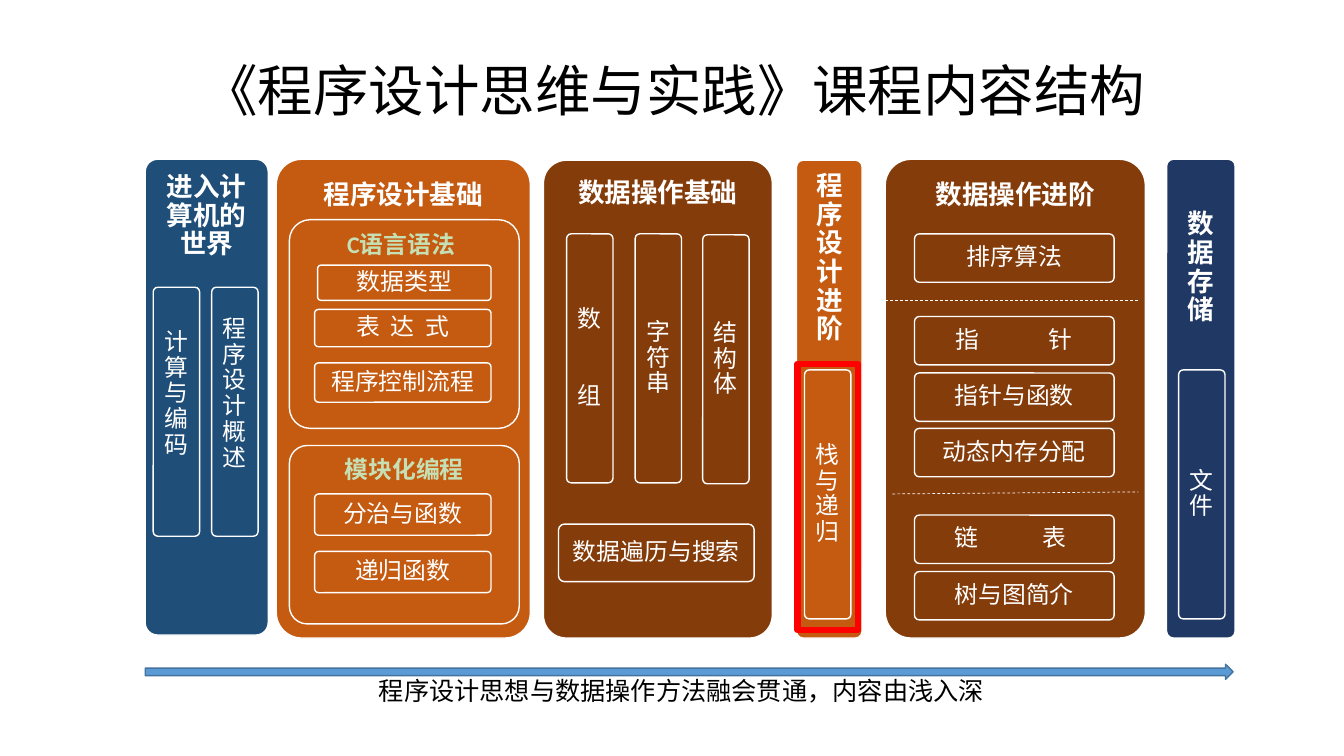
from dataclasses import dataclass

from lxml.etree import SubElement
from pptx import Presentation
from pptx.dml.color import RGBColor as Rgb
from pptx.enum.dml import MSO_LINE_DASH_STYLE as Dash
from pptx.enum.shapes import MSO_CONNECTOR as Connector, MSO_SHAPE as Shape
from pptx.enum.text import MSO_ANCHOR as Anchor, PP_ALIGN as Align
from pptx.oxml.ns import qn
from pptx.util import Inches, Pt


@dataclass(frozen=True)
class Theme:
    """Colours, font and type sizes of the slide."""
    font: str = "Calibri"
    title: float = 39.6
    heading: float = 19
    caption: float = 18
    body: float = 17
    white: Rgb = Rgb(0xFF, 0xFF, 0xFF)
    black: Rgb = Rgb(0, 0, 0)
    green: Rgb = Rgb(0xC5, 0xE0, 0xB4)
    blue: Rgb = Rgb(0x1F, 0x4E, 0x79)
    navy: Rgb = Rgb(0x20, 0x38, 0x64)
    orange: Rgb = Rgb(0xC5, 0x5A, 0x11)
    brown: Rgb = Rgb(0x84, 0x3C, 0x0B)
    arrow: Rgb = Rgb(0x5B, 0x9B, 0xD5)
    arrow_line: Rgb = Rgb(0x43, 0x73, 0x9E)
    red: Rgb = Rgb(0xFF, 0, 0)


T = Theme()
CORNER = 0.1
CORNER_INSET = 0.0293


@dataclass(frozen=True)
class Panel:
    """A coloured panel with a bold heading at its top."""
    text: str
    fill: Rgb
    x: float
    y: float
    w: float
    h: float
    text_top: float
    size: float = T.heading
    color: Rgb = T.white
    shift: float = 0


@dataclass(frozen=True)
class Topic:
    """An outlined topic with centred text."""
    text: str
    fill: Rgb
    x: float
    y: float
    w: float
    h: float
    spread: float = 0
    line_gap: float = 0
    lift: float = 0
    shift: float = 0


@dataclass(frozen=True)
class Label:
    """A line of plain text."""
    text: str
    x: float
    y: float
    w: float
    h: float
    size: float
    anchor: Anchor
    spacing: float


def bar(text: str, fill: Rgb, x: float, y: float, **extra: float) -> Topic:
    """Return a tall narrow topic."""
    return Topic(text, fill, x, y, 0.46, 2.47, **extra)


def pointer_row(text: str, y: float, **extra: float) -> Topic:
    """Return a topic of the advanced data column."""
    return Topic(text, T.brown, 9.07, y, 1.98, 0.48, **extra)


PANELS = [
    Panel("进入计算机的世界", T.blue, 1.44, 1.58, 1.22, 4.72, 1.72),
    Panel("程序设计基础", T.orange, 2.74, 1.58, 2.52, 4.75, 1.8),
    Panel("C语言语法", T.orange, 2.87, 2.18, 2.28, 2.07, 2.31, T.body, T.green, 0.03),
    Panel("模块化编程", T.orange, 2.87, 4.42, 2.28, 1.77, 4.54, T.body, T.green),
    Panel("数据操作基础", T.brown, 5.39, 1.59, 2.27, 4.74, 1.78),
    Panel("程序设计进阶", T.orange, 7.9, 1.59, 0.65, 4.74, 1.71),
    Panel("数据操作进阶", T.brown, 8.78, 1.58, 2.58, 4.75, 1.8),
    Panel("数据存储", T.navy, 11.57, 1.58, 0.68, 4.75, 2.09),
]
TOPICS = [
    bar("计算与编码", T.blue, 1.52, 2.85, lift=0.35),
    bar("程序设计概述", T.blue, 2.1, 2.85, lift=0.35),
    Topic("数据类型", T.orange, 3.15, 2.63, 1.72, 0.35),
    Topic("表达式", T.orange, 3.12, 3.07, 1.75, 0.37, spread=7.6),
    Topic("程序控制流程", T.orange, 3.12, 3.6, 1.75, 0.39),
    Topic("分治与函数", T.orange, 3.12, 4.9, 1.75, 0.41),
    Topic("递归函数", T.orange, 3.12, 5.47, 1.75, 0.41),
    bar("数\n组", T.brown, 5.62, 2.32, line_gap=37),
    bar("字符串", T.brown, 6.3, 2.32),
    bar("结构体", T.brown, 6.97, 2.33),
    Topic("数据遍历与搜索", T.brown, 5.54, 5.2, 1.94, 0.57),
    bar("栈与递归", T.orange, 7.98, 3.67),
    pointer_row("排序算法", 2.32),
    pointer_row("指针", 3.14, spread=49.5),
    pointer_row("指针与函数", 3.7),
    pointer_row("动态内存分配", 4.25),
    pointer_row("链表", 5.11, spread=46, shift=0.04),
    pointer_row("树与图简介", 5.67),
    bar("文件", T.navy, 11.69, 3.67),
]
DIVIDERS = [(8.78, 2.98, 11.29, 2.98), (8.85, 4.9, 11.29, 4.88)]
LABELS = [
    Label("程序设计思想与数据操作方法融会贯通，内容由浅入深",
          3.66, 6.65, 7.73, 0.4, T.caption, Anchor.TOP, 1),
    Label("《程序设计思维与实践》课程内容结构",
          1.91, 0.3, 9.75, 1.25, T.title, Anchor.MIDDLE, 0.9),
]


def add_run(p, text: str, size: float, color: Rgb, bold: bool = False, spread: float = 0) -> None:
    """Add one run, with optional letter spacing in points."""
    r = p.add_run()
    r.text = text
    r.font.name, r.font.size, r.font.bold = T.font, Pt(size), bold
    r.font.color.rgb = color
    if spread:
        r._r.get_or_add_rPr().set("spc", str(round(spread * 100)))


def add_preset(s, kind: Shape, x: float, y: float, w: float, h: float,
               fill: Rgb | None, line: Rgb, width: float = 1):
    """Add a flat preset shape."""
    sp = s.shapes.add_shape(kind, Inches(x), Inches(y), Inches(w), Inches(h))
    sp.shadow.inherit = False
    if fill is None:
        sp.fill.background()
    else:
        sp.fill.solid()
        sp.fill.fore_color.rgb = fill
    sp.line.color.rgb, sp.line.width = line, Pt(width)
    return sp


def add_block(s, b: Panel | Topic, margin: float, anchor: Anchor):
    """Add a rounded block and return its text frame."""
    sp = add_preset(s, Shape.ROUNDED_RECTANGLE, b.x, b.y, b.w, b.h, b.fill, T.white)
    sp.adjustments[0] = CORNER
    tf = sp.text_frame
    tf.word_wrap, tf.vertical_anchor = True, anchor
    tf.margin_left = tf.margin_top = tf.margin_bottom = Inches(margin)
    tf.margin_right = Inches(margin + 2 * b.shift)
    return tf


def add_panel(s, b: Panel) -> None:
    """Add a panel with its heading."""
    tf = add_block(s, b, 0.08, Anchor.TOP)
    tf.margin_top = Inches(b.text_top - b.y - CORNER_INSET * min(b.w, b.h))
    p = tf.paragraphs[0]
    p.alignment, p.line_spacing = Align.CENTER, 0.9
    add_run(p, b.text, b.size, b.color, True)


def add_topic(s, b: Topic) -> None:
    """Add a topic, spreading its letters if asked."""
    tf = add_block(s, b, 0.07, Anchor.MIDDLE)
    tf.margin_bottom = Inches(0.07 + b.lift)
    for i, text in enumerate(b.text.split("\n")):
        p = tf.add_paragraph() if i else tf.paragraphs[0]
        p.alignment, p.line_spacing = Align.CENTER, 0.9
        if i:
            p.space_before = Pt(b.line_gap)
        if b.spread:
            add_run(p, text[:-1], T.body, T.white, spread=b.spread)
            text = text[-1]
        add_run(p, text, T.body, T.white)


def add_divider(s, x1: float, y1: float, x2: float, y2: float) -> None:
    """Add a thin dashed line."""
    c = s.shapes.add_connector(Connector.STRAIGHT, Inches(x1), Inches(y1), Inches(x2), Inches(y2))
    c.line.color.rgb, c.line.width, c.line.dash_style = T.white, Pt(0.5), Dash.DASH
    SubElement(c._element.spPr, qn("a:effectLst"))


def add_label(s, b: Label) -> None:
    """Add a text box with one line."""
    tf = s.shapes.add_textbox(Inches(b.x), Inches(b.y), Inches(b.w), Inches(b.h)).text_frame
    tf.word_wrap, tf.vertical_anchor = True, b.anchor
    p = tf.paragraphs[0]
    p.line_spacing = b.spacing
    add_run(p, b.text, b.size, T.black)


def main() -> None:
    """Build the slide and save it."""
    prs = Presentation()
    prs.slide_width, prs.slide_height = Inches(13.33), Inches(7.5)
    s = prs.slides.add_slide(prs.slide_layouts[6])
    for panel in PANELS:
        add_panel(s, panel)
    for topic in TOPICS:
        add_topic(s, topic)
    for ends in DIVIDERS:
        add_divider(s, *ends)
    add_preset(s, Shape.RIGHT_ARROW, 1.44, 6.59, 10.79, 0.15, T.arrow, T.arrow_line)
    for label in LABELS:
        add_label(s, label)
    add_preset(s, Shape.RECTANGLE, 7.91, 3.61, 0.6, 2.64, None, T.red, 4.5)
    prs.save("out.pptx")


if __name__ == "__main__":
    main()
